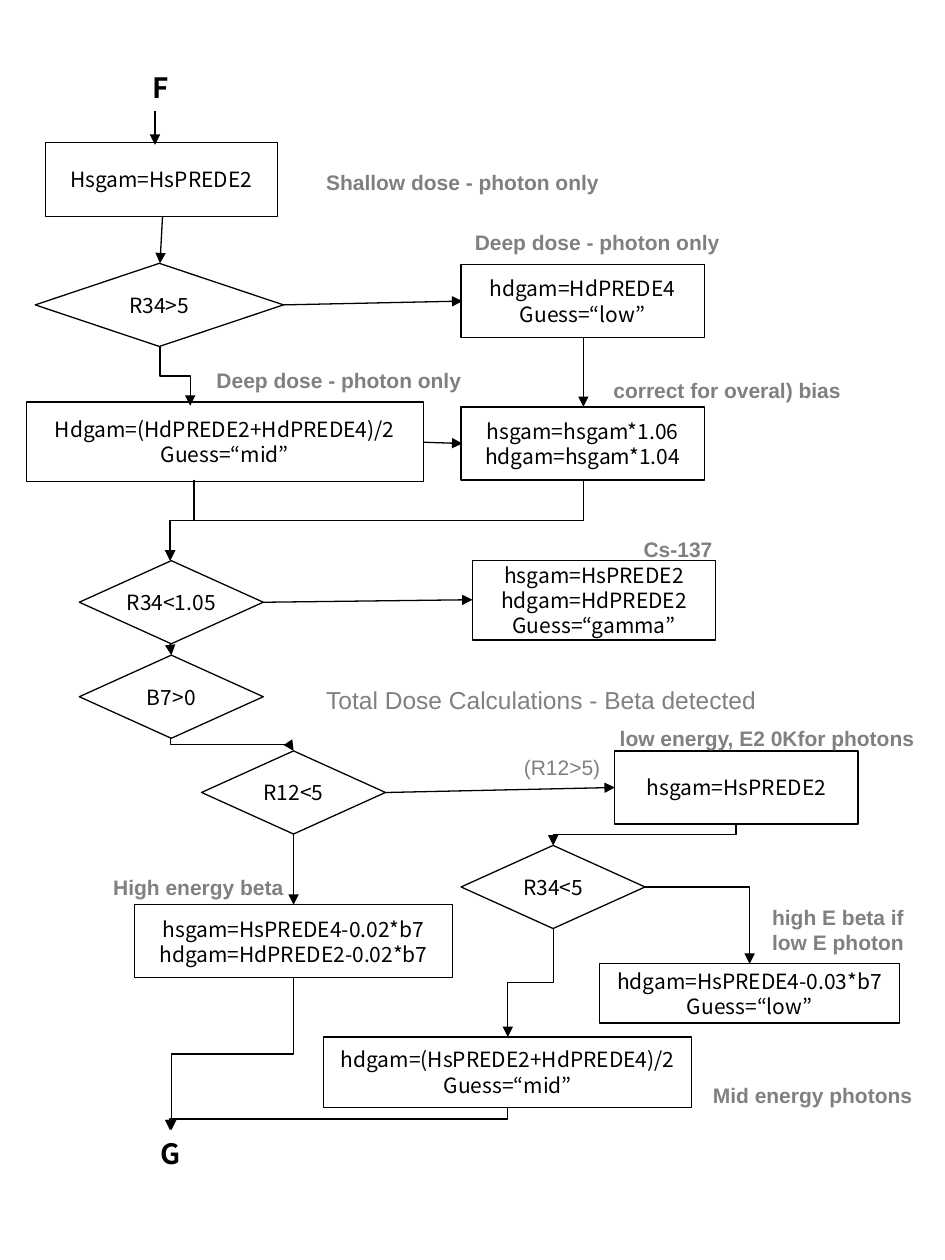
"""Draw the photon and beta dose flowchart on a portrait slide."""
from typing import NamedTuple

from lxml.etree import SubElement
from pptx import Presentation
from pptx.dml.color import RGBColor
from pptx.enum.shapes import MSO_CONNECTOR as Link, MSO_SHAPE as Shape
from pptx.enum.text import MSO_ANCHOR as Anchor, MSO_AUTO_SIZE as Fit, PP_ALIGN as Align
from pptx.oxml.ns import qn
from pptx.util import Inches, Pt

BLACK, GREY = "000000", "808080"
SANS, CJK = "Arial", "Noto Sans CJK KR"
BOX, TEST = Shape.FLOWCHART_PROCESS, Shape.FLOWCHART_DECISION
STRAIGHT, DOWN, CORNER = "straight", "down", "corner"


class Node(NamedTuple):
    kind: Shape
    x: float
    y: float
    w: float
    h: float
    text: str


class Note(NamedTuple):
    x: float
    y: float
    w: float
    h: float
    text: str
    size: int = 12
    bold: bool = True
    color: str = GREY
    face: str = SANS
    align: Align = Align.LEFT


class Arrow(NamedTuple):
    x1: float
    y1: float
    x2: float
    y2: float
    route: str = STRAIGHT


NODES = [
    Node(BOX, 0.36, 1.13, 1.84, 0.59, "Hsgam=HsPREDE2"),
    Node(TEST, 0.28, 2.09, 1.97, 0.66, "R34>5"),
    Node(BOX, 3.66, 2.1, 1.93, 0.58, "hdgam=HdPREDE4\nGuess=“low”"),
    Node(BOX, 0.21, 3.19, 3.15, 0.63, "Hdgam=(HdPREDE2+HdPREDE4)/2\nGuess=“mid”"),
    Node(BOX, 3.66, 3.23, 1.93, 0.58, "hsgam=hsgam*1.06\nhdgam=hsgam*1.04"),
    Node(BOX, 3.75, 4.45, 1.93, 0.63, "hsgam=HsPREDE2\nhdgam=HdPREDE2\nGuess=“gamma”"),
    Node(TEST, 0.63, 4.45, 1.46, 0.66, "R34<1.05"),
    Node(TEST, 0.63, 5.2, 1.46, 0.66, "B7>0"),
    Node(TEST, 1.6, 5.96, 1.46, 0.66, "R12<5"),
    Node(BOX, 4.88, 5.96, 1.93, 0.58, "hsgam=HsPREDE2"),
    Node(TEST, 3.66, 6.71, 1.46, 0.66, "R34<5"),
    Node(BOX, 1.07, 7.18, 2.52, 0.58, "hsgam=HsPREDE4-0.02*b7\nhdgam=HdPREDE2-0.02*b7"),
    Node(BOX, 4.76, 7.65, 2.38, 0.47, "hdgam=HsPREDE4-0.03*b7\nGuess=“low”"),
    Node(BOX, 2.57, 8.23, 2.92, 0.56, "hdgam=(HsPREDE2+HdPREDE4)/2\nGuess=“mid”"),
]
NOTES = [
    Note(0.91, 0.51, 0.73, 0.37, "F", 16, True, BLACK, CJK, Align.CENTER),
    Note(0.99, 8.97, 0.73, 0.37, "G", 16, True, BLACK, CJK, Align.CENTER),
    Note(2.49, 1.3, 2.84, 0.3, "Shallow dose - photon only"),
    Note(3.67, 1.77, 2.44, 0.3, "Deep dose - photon only"),
    Note(1.62, 2.87, 2.44, 0.3, "Deep dose - photon only"),
    Note(4.77, 2.95, 2.05, 0.3, "correct for overal) bias"),
    Note(5.01, 4.21, 0.95, 0.3, "Cs-137"),
    Note(2.49, 5.39, 4.72, 0.34, "Total Dose Calculations - Beta detected", 14, False),
    Note(4.82, 5.71, 2.68, 0.3, "low energy, E2 0Kfor photons"),
    Note(4.06, 5.94, 0.87, 0.3, "(R12>5)", 12, False),
    Note(0.8, 6.89, 1.85, 0.3, "High energy beta"),
    Note(6.03, 7.13, 1.34, 0.5, "high E beta if low E photon"),
    Note(5.56, 8.54, 1.94, 0.3, "Mid energy photons"),
]
ARROWS = [
    Arrow(1.23, 0.88, 1.23, 1.15),
    Arrow(1.29, 1.72, 1.27, 2.09),
    Arrow(2.25, 2.42, 3.67, 2.39),
    Arrow(1.27, 2.75, 1.51, 3.22, DOWN),
    Arrow(4.63, 2.68, 4.63, 3.23),
    Arrow(3.36, 3.51, 3.67, 3.52),
    Arrow(4.63, 3.81, 1.35, 4.45, DOWN),
    Arrow(1.54, 3.81, 1.35, 4.45, DOWN),
    Arrow(2.08, 4.78, 3.75, 4.76),
    Arrow(1.35, 5.11, 1.36, 5.2),
    Arrow(1.35, 5.86, 2.33, 5.96, DOWN),
    Arrow(3.06, 6.29, 4.88, 6.25),
    Arrow(2.33, 6.62, 2.33, 7.18),
    Arrow(5.84, 6.54, 4.39, 6.71, DOWN),
    Arrow(5.12, 7.04, 5.95, 7.65, CORNER),
    Arrow(4.39, 7.37, 4.03, 8.23, DOWN),
    Arrow(2.33, 7.76, 1.36, 8.97, DOWN),
    Arrow(4.03, 8.79, 1.35, 8.97, DOWN),
]


def paint(target, color: str) -> None:
    target.rgb = RGBColor.from_string(color)


def style(frame, size: int, face: str, color: str, bold: bool, align: Align) -> None:
    for para in frame.paragraphs:
        para.alignment = align
        para.font.size = Pt(size)
        para.font.name = face
        para.font.bold = bold
        paint(para.font.color, color)


def draw_node(slide, node: Node) -> None:
    shape = slide.shapes.add_shape(node.kind, *map(Inches, node[1:5]))
    shape.shadow.inherit = False
    shape.fill.background()
    shape.line.width = Pt(0.75)
    paint(shape.line.color, BLACK)
    frame = shape.text_frame
    frame.text = node.text
    frame.word_wrap = False
    frame.vertical_anchor = Anchor.MIDDLE
    style(frame, 12, CJK, BLACK, False, Align.CENTER)


def draw_note(slide, note: Note) -> None:
    frame = slide.shapes.add_textbox(*map(Inches, note[:4])).text_frame
    frame.text = note.text
    frame.word_wrap = True
    frame.auto_size = Fit.SHAPE_TO_FIT_TEXT
    frame.paragraphs[0].space_before = Pt(note.size * 0.625)
    style(frame, note.size, note.face, note.color, note.bold, note.align)


def turn(line, arrow: Arrow) -> None:
    """Rotate an elbow so that it leaves and arrives vertically."""
    wide, high = abs(arrow.x2 - arrow.x1), arrow.y2 - arrow.y1
    line.left = Inches((arrow.x1 + arrow.x2 - high) / 2)
    line.top = Inches((arrow.y1 + arrow.y2 - wide) / 2)
    line.width, line.height = Inches(high), Inches(wide)
    frame = line._element.spPr.find(qn("a:xfrm"))
    right = arrow.x2 > arrow.x1
    frame.set("rot", str((270 if right else 90) * 60000))
    frame.set("flipH", str(int(right)))


def draw_arrow(slide, arrow: Arrow) -> None:
    kind = Link.STRAIGHT if arrow.route == STRAIGHT else Link.ELBOW
    line = slide.shapes.add_connector(kind, *map(Inches, arrow[:4]))
    line.line.width = Pt(0.75)
    paint(line.line.color, BLACK)
    props = line._element.spPr
    if arrow.route == DOWN:
        turn(line, arrow)
    elif arrow.route == CORNER:
        props.find(qn("a:prstGeom")).set("prst", "bentConnector2")
    SubElement(props.find(qn("a:ln")), qn("a:tailEnd"), type="triangle")
    SubElement(props, qn("a:effectLst"))


def main() -> None:
    deck = Presentation()
    deck.slide_width, deck.slide_height = Inches(7.5), Inches(10)
    slide = deck.slides.add_slide(deck.slide_layouts[6])
    for node in NODES:
        draw_node(slide, node)
    for arrow in ARROWS:
        draw_arrow(slide, arrow)
    for note in NOTES:
        draw_note(slide, note)
    deck.save("out.pptx")


if __name__ == "__main__":
    main()
